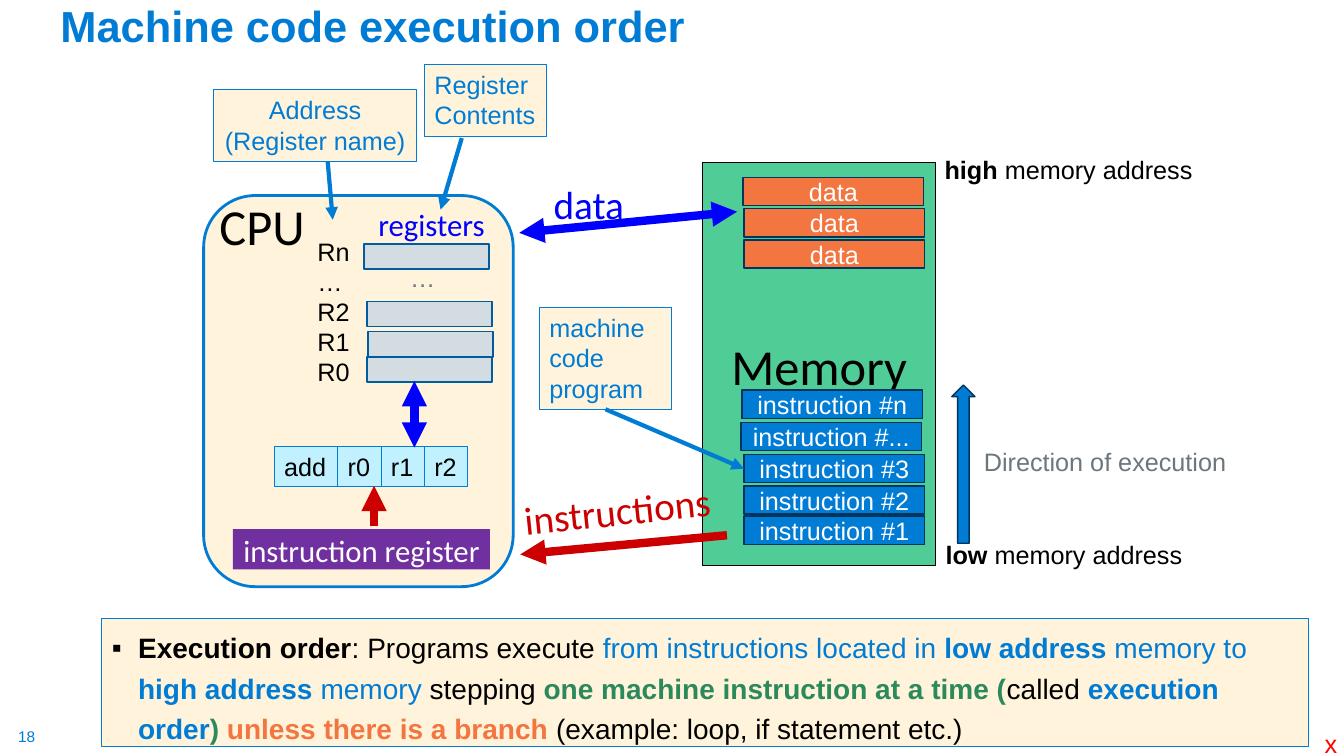
from dataclasses import dataclass
from typing import Optional

from lxml.etree import SubElement
from pptx import Presentation
from pptx.dml.color import RGBColor
from pptx.enum.shapes import MSO_CONNECTOR, MSO_SHAPE
from pptx.enum.text import MSO_ANCHOR, MSO_AUTO_SIZE, PP_ALIGN
from pptx.oxml.ns import qn
from pptx.util import Inches, Pt

BLUE = RGBColor(0x00, 0x7C, 0xD5)
NAVY = RGBColor(0x00, 0x36, 0x5D)
STEEL = RGBColor(0x00, 0x5C, 0x9E)
PURE_BLUE = RGBColor(0x00, 0x00, 0xFF)
DARK_RED = RGBColor(0xCC, 0x00, 0x00)
RED = RGBColor(0xFF, 0x00, 0x00)
CREAM = RGBColor(0xFF, 0xF4, 0xDB)
MINT = RGBColor(0x50, 0xCC, 0x97)
GREEN = RGBColor(0x2C, 0x89, 0x5B)
ORANGE = RGBColor(0xF3, 0x75, 0x3F)
PURPLE = RGBColor(0x70, 0x30, 0xA0)
PALE_BLUE = RGBColor(0xC1, 0xF0, 0xFF)
PALE_GRAY = RGBColor(0xD3, 0xDC, 0xE1)
GRAY = RGBColor(0x6B, 0x76, 0x7D)
BLACK = RGBColor(0x00, 0x00, 0x00)
WHITE = RGBColor(0xFF, 0xFF, 0xFF)


@dataclass
class Style:
    color: RGBColor = BLACK
    fill: Optional[RGBColor] = None
    line: Optional[RGBColor] = None
    weight: float = 0.75
    size: int = 18
    font: str = "Arial"
    align: PP_ALIGN = PP_ALIGN.LEFT
    anchor: MSO_ANCHOR = MSO_ANCHOR.TOP
    wrap: bool = False
    insets: tuple = (0.1, 0.05, 0.1, 0.05)


def diagram_style(color, size, fill=None, line=None, anchor=MSO_ANCHOR.MIDDLE):
    return Style(color, fill, line, size=size, font="Calibri", align=PP_ALIGN.CENTER,
                 anchor=anchor, insets=(0.1, 0.07, 0.1, 0.05))


def memory_cell_style(fill):
    return Style(WHITE, fill, NAVY, 1, align=PP_ALIGN.CENTER, anchor=MSO_ANCHOR.MIDDLE, wrap=True)


PLAIN = Style()
MUTED = Style(GRAY)
CALLOUT = Style(BLUE, CREAM, BLUE)
CENTERED_CALLOUT = Style(BLUE, CREAM, BLUE, align=PP_ALIGN.CENTER)
WRAPPED_CALLOUT = Style(BLUE, CREAM, BLUE, wrap=True)
OPERAND = Style(BLACK, PALE_BLUE, BLUE)
REGISTER = Style(fill=PALE_GRAY, line=STEEL, weight=1)
CPU_PANEL = Style(fill=CREAM, line=BLUE, weight=2)
EXECUTION_ARROW = Style(fill=BLUE, line=NAVY, weight=1)
DATA_CELL = memory_cell_style(ORANGE)
INSTRUCTION_CELL = memory_cell_style(BLUE)

TITLE = "Machine code execution order"
SUMMARY = [
    ("Execution order", BLACK, True), (": Programs execute ", BLACK, False),
    ("from instructions located in ", BLUE, False), ("low address ", BLUE, True),
    ("memory to ", BLUE, False), ("high address ", BLUE, True), ("memory", BLUE, False),
    (" stepping ", BLACK, False), ("one machine instruction at a time (", GREEN, True),
    ("called ", BLACK, False), ("execution order", BLUE, True), (") ", GREEN, True),
    ("unless there is a branch ", ORANGE, True),
    ("(example: loop, if statement etc.)", BLACK, False),
]
PANELS = [
    (MSO_SHAPE.RECTANGLE, "Memory", (6.97, 1.61, 2.31, 4), diagram_style(BLACK, 36, MINT, BLACK)),
    (MSO_SHAPE.ROUNDED_RECTANGLE, "", (2.02, 1.94, 3.07, 3.88), CPU_PANEL),
    (MSO_SHAPE.UP_ARROW, "", (9.44, 3.82, 0.23, 1.57), EXECUTION_ARROW),
]
MEMORY_CELLS = [
    ("data", 7.37, 1.76, DATA_CELL), ("data", 7.38, 2.07, DATA_CELL),
    ("data", 7.38, 2.38, DATA_CELL), ("instruction #n", 7.36, 3.87, INSTRUCTION_CELL),
    ("instruction #...", 7.35, 4.19, INSTRUCTION_CELL),
    ("instruction #3", 7.38, 4.51, INSTRUCTION_CELL),
    ("instruction #2", 7.38, 4.82, INSTRUCTION_CELL),
    ("instruction #1", 7.38, 5.12, INSTRUCTION_CELL),
]
REGISTER_CELLS = [(3.61, 2.42), (3.64, 3.54), (3.65, 3.29), (3.64, 2.99)]
OPERANDS = [("add", 0.63), ("r0", 0.43), ("r1", 0.43), ("r2", 0.43)]
BOXES = [
    ("machine code program", (5.35, 3.05, 1.31, 1.01), WRAPPED_CALLOUT),
    ("Address\n(Register name)", (2.12, 0.89, 2.01, 0.71), CENTERED_CALLOUT),
    ("Register\nContents", (4.21, 0.64, 1.21, 0.71), CALLOUT),
    ("instruction register", (2.31, 5.25, 2.55, 0.4), diagram_style(WHITE, 22, PURPLE)),
]
LABELS = [
    ("data", (4.64, 1.71, 2.4, 0.6), diagram_style(PURE_BLUE, 28), 0),
    ("instructions", (4.92, 4.75, 2.4, 0.6), diagram_style(DARK_RED, 28), -6),
    ("CPU", (2, 1.87, 1.2, 0.58), diagram_style(BLACK, 36, anchor=MSO_ANCHOR.TOP), 0),
    ("registers", (3.53, 2.01, 1.5, 0.4), diagram_style(PURE_BLUE, 22), 0),
    ("Rn\n…\nR2\nR1\nR0", (3.05, 2.29, 0.52, 1.62), PLAIN, 0),
    ("…", (3.97, 2.55, 0.45, 0.4), MUTED, 0),
    ("Direction of execution", (9.66, 4.38, 2.63, 0.4), MUTED, 0),
    ("x", (13.04, 7.18, 0.33, 0.4), Style(RED), 0),
    ("18", (0.18, 7.21, 0.19, 0.19), Style(BLUE, size=11, insets=(0, 0, 0, 0)), 0),
]
ADDRESS_LABELS = [("high", (9.27, 1.48, 2.68, 0.4)), ("low", (9.28, 5.3, 2.57, 0.4))]
ARROWS = [
    ((5.15, 2.31), (7.31, 2.1), PURE_BLUE, 6, ("headEnd", "tailEnd")),
    ((7.21, 5.31), (5.16, 5.5), DARK_RED, 6, ("tailEnd",)),
    ((4.11, 3.78), (4.11, 4.44), PURE_BLUE, 6, ("headEnd", "tailEnd")),
    ((3.71, 5.22), (3.71, 4.82), DARK_RED, 6, ("tailEnd",)),
    ((3.25, 1.6), (3.3, 2.18), BLUE, 3, ("tailEnd",)),
    ((4.58, 1.37), (4.37, 2.08), BLUE, 3, ("tailEnd",)),
]

presentation = Presentation()
presentation.slide_width, presentation.slide_height = Inches(13.33), Inches(7.5)
slide = presentation.slides.add_slide(presentation.slide_layouts[1])


def add_run(paragraph, text, size, color, font="Arial", bold=False):
    run = paragraph.add_run()
    run.text = text
    run.font.size, run.font.name, run.font.bold = Pt(size), font, bold
    run.font.color.rgb = color


def write_text(shape, text, style):
    frame = shape.text_frame
    frame.word_wrap = style.wrap
    frame.vertical_anchor = style.anchor
    frame.margin_left, frame.margin_top, frame.margin_right, frame.margin_bottom = map(Inches, style.insets)
    for index, line in enumerate(text.split("\n")):
        paragraph = frame.add_paragraph() if index else frame.paragraphs[0]
        paragraph.alignment = style.align
        if line:
            add_run(paragraph, line, style.size, style.color, style.font)


def add_box(text, place, style, preset=MSO_SHAPE.RECTANGLE):
    shape = slide.shapes.add_shape(preset, *map(Inches, place))
    shape.shadow.inherit = False
    shape.fill.solid()
    shape.fill.fore_color.rgb = style.fill
    if style.line is None:
        shape.line.fill.background()
    else:
        shape.line.color.rgb, shape.line.width = style.line, Pt(style.weight)
    if text:
        write_text(shape, text, style)
    return shape


def add_label(text, place, style, rotation=0):
    label = slide.shapes.add_textbox(*map(Inches, place))
    label.rotation = rotation
    write_text(label, text, style)
    return label


def add_arrow(start, end, color, weight, heads):
    arrow = slide.shapes.add_connector(MSO_CONNECTOR.STRAIGHT, *map(Inches, start + end))
    arrow.line.color.rgb, arrow.line.width = color, Pt(weight)
    for head in heads:
        SubElement(arrow.line._get_or_add_ln(), qn(f"a:{head}"), type="triangle")
    SubElement(arrow._element.spPr, qn("a:effectLst"))
    return arrow


def place_placeholder(placeholder, place):
    placeholder.left, placeholder.top, placeholder.width, placeholder.height = map(Inches, place)
    placeholder.text_frame.auto_size = MSO_AUTO_SIZE.NONE
    return placeholder.text_frame.paragraphs[0]


title_paragraph = place_placeholder(slide.shapes.title, (0.5, -0.02, 11.5, 0.59))
slide.shapes.title.text_frame.vertical_anchor = MSO_ANCHOR.BOTTOM
title_paragraph.alignment, title_paragraph.line_spacing = PP_ALIGN.LEFT, 0.9
add_run(title_paragraph, TITLE, 31, BLUE, bold=True)

body = slide.placeholders[1]
summary_paragraph = place_placeholder(body, (1.01, 6.14, 11.97, 1.27))
body.fill.solid()
body.fill.fore_color.rgb = CREAM
body.line.color.rgb, body.line.width = BLUE, Pt(0.75)
summary_paragraph.line_spacing, summary_paragraph.space_before = 1.2, Pt(10)
properties = summary_paragraph._p.get_or_add_pPr()
properties.set("marL", str(Inches(0.26)))
properties.set("indent", str(Inches(-0.26)))
SubElement(properties, qn("a:buFont"), typeface="Arial")
SubElement(properties, qn("a:buChar"), char="▪")
for text, color, bold in SUMMARY:
    add_run(summary_paragraph, text, 20, color, bold=bold)

for preset, text, place, style in PANELS:
    add_box(text, place, style, preset)
boxes = {text: add_box(text, place, style) for text, place, style in BOXES}
memory_cells = {text: add_box(text, (left, top, 1.79, 0.28), style)
                for text, left, top, style in MEMORY_CELLS}
for left, top in REGISTER_CELLS:
    add_box("", (left, top, 1.24, 0.25), REGISTER)
operand_left = 2.72
for text, width in OPERANDS:
    add_box(text, (operand_left, 4.43, width, 0.4), OPERAND)
    operand_left += width
for label in LABELS:
    add_label(*label)
for level, place in ADDRESS_LABELS:
    paragraph = add_label("", place, PLAIN).text_frame.paragraphs[0]
    add_run(paragraph, level, 18, BLACK, bold=True)
    add_run(paragraph, " memory address", 18, BLACK)
for arrow in ARROWS:
    add_arrow(*arrow)
program_arrow = add_arrow((6, 4.06), (7.38, 4.65), BLUE, 3, ("tailEnd",))
program_arrow.begin_connect(boxes["machine code program"], 2)
program_arrow.end_connect(memory_cells["instruction #3"], 1)

presentation.save("out.pptx")
